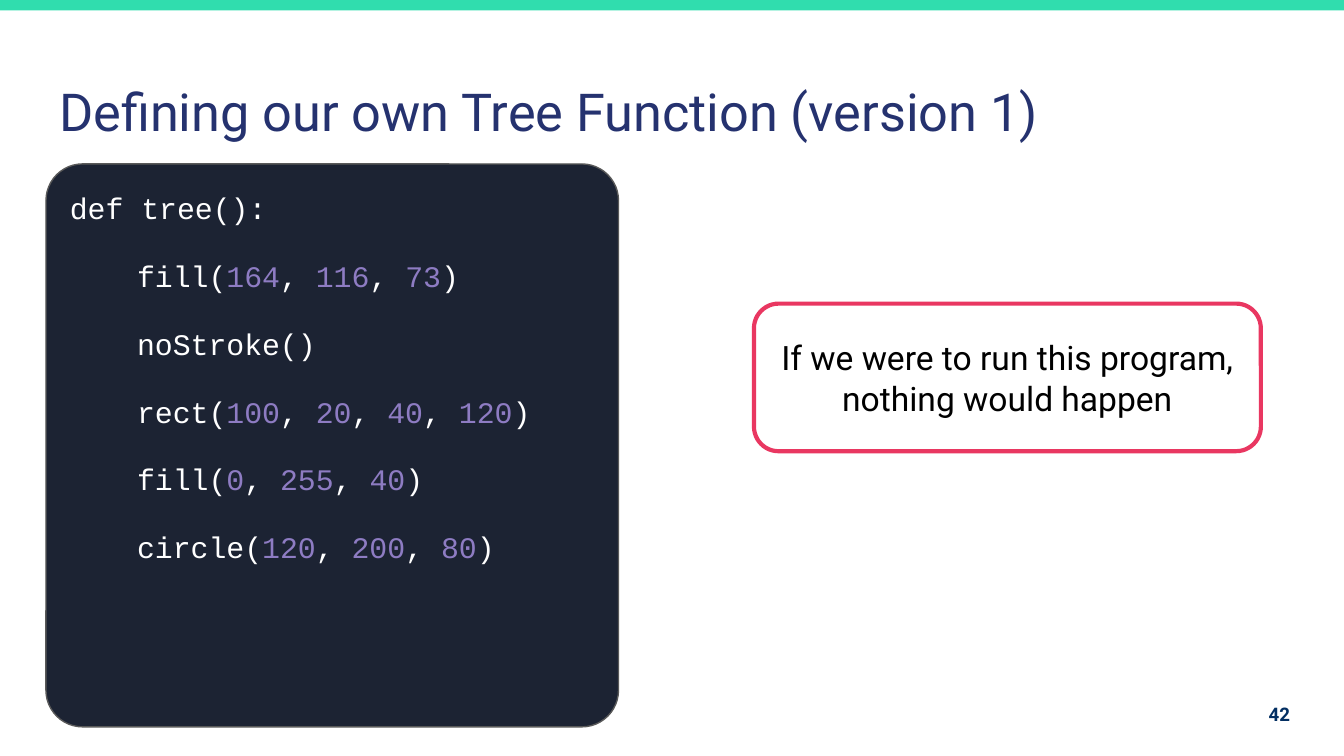
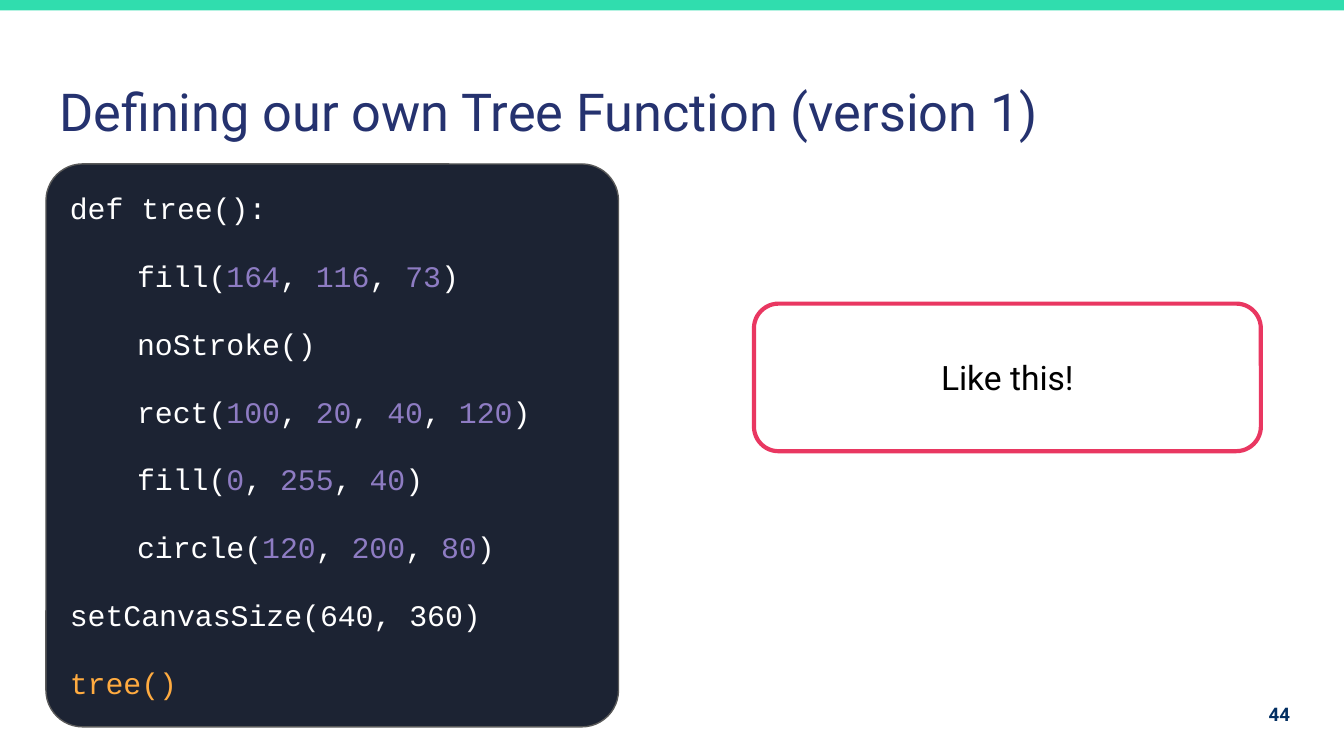
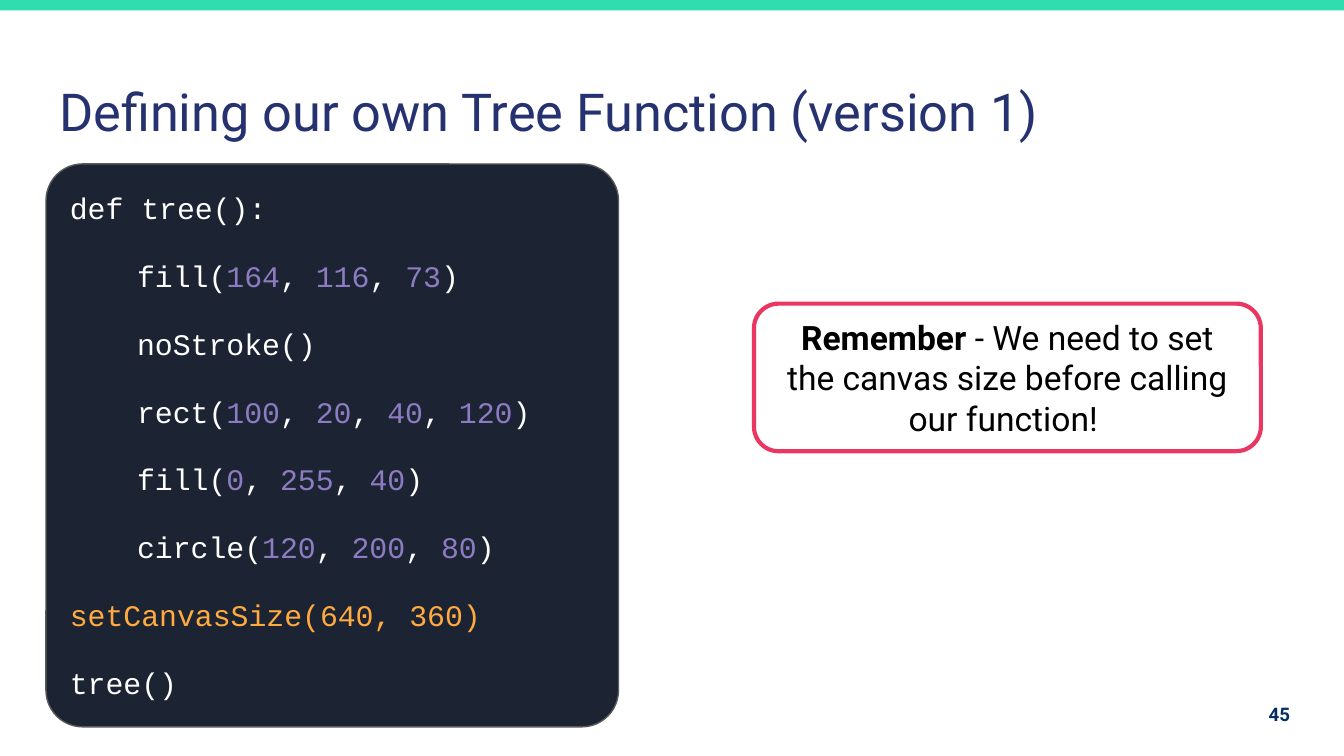
from itertools import groupby

from pptx import Presentation
from pptx.dml.color import RGBColor
from pptx.enum.shapes import MSO_SHAPE
from pptx.enum.text import MSO_ANCHOR, MSO_AUTO_SIZE, PP_ALIGN
from pptx.util import Cm, Pt

COLOURS = {
    "band": "30DDAE",
    "title": "25326F",
    "panel": "1C2333",
    "panel_edge": "595959",
    "code": "FFFFFF",
    "number": "8E7CC3",
    "highlight": "FFAB40",
    "note_edge": "E93761",
    "note": "000000",
    "page_number": "032F62",
}
TITLE_FONT = {"name": "Roboto", "size": Pt(28), "bold": False}
CODE_FONT = {"name": "Courier New", "size": Pt(16), "bold": False}
NOTE_FONT = {"name": "Roboto", "size": Pt(18), "bold": False}
PAGE_NUMBER_FONT = {"name": "Roboto", "size": Pt(10), "bold": True}
FRAME = {
    "word_wrap": True,
    "auto_size": MSO_AUTO_SIZE.NONE,
    "margin_left": Cm(0.25),
    "margin_right": Cm(0.25),
    "margin_top": Cm(0.25),
    "margin_bottom": Cm(0.25),
}

TITLE = "Defining our own Tree Function (version 1)"
FUNCTION_BODY = [
    "fill(164, 116, 73)",
    "noStroke()",
    "rect(100, 20, 40, 120)",
    "fill(0, 255, 40)",
    "circle(120, 200, 80)",
]
CANVAS_CALL = "setCanvasSize(640, 360)"
TREE_CALL = "tree()"

# Page number, lines after the function, highlighted line, note as (text, bold)
PAGES = [
    (42, [], None,
     [("If we were to run this program, nothing would happen", False)]),
    (44, [CANVAS_CALL, TREE_CALL], TREE_CALL, [("Like this!", False)]),
    (45, [CANVAS_CALL, TREE_CALL], CANVAS_CALL,
     [("Remember ", True),
      ("- We need to set the canvas size before calling our function! ", False)]),
]


def add_span(paragraph, text, font, colour):
    span = paragraph.add_run()
    span.text = text
    for name, value in font.items():
        setattr(span.font, name, value)
    span.font.color.rgb = RGBColor.from_string(COLOURS[colour])
    return span


def style_box(box, anchor, fill=None, edge=None, edge_width=0.75):
    """Set the frame, anchor, fill and outline; None leaves a part empty."""
    for name, value in FRAME.items():
        setattr(box.text_frame, name, value)
    box.text_frame.vertical_anchor = anchor
    box.shadow.inherit = False
    if fill:
        box.fill.solid()
        box.fill.fore_color.rgb = RGBColor.from_string(COLOURS[fill])
    else:
        box.fill.background()
    if edge:
        box.line.color.rgb = RGBColor.from_string(COLOURS[edge])
        box.line.width = Pt(edge_width)
    else:
        box.line.fill.background()


deck = Presentation()
deck.slide_width, deck.slide_height = Cm(25.4), Cm(14.29)
layout = deck.slide_layouts[5]

for number, closing_lines, highlighted, note_parts in PAGES:
    page = deck.slides.add_slide(layout)

    # The band is made once and moved to the shared layout
    if number == PAGES[0][0]:
        band = page.shapes.add_shape(
            MSO_SHAPE.RECTANGLE, Cm(-0.02), 0, Cm(25.44), Cm(0.2))
        style_box(band, MSO_ANCHOR.MIDDLE, fill="band")
        layout.shapes.element.append(band.element)

    title = page.shapes.title
    title.left, title.top, title.width, title.height = (
        Cm(0.87), Cm(1.24), Cm(23.67), Cm(1.6))
    style_box(title, MSO_ANCHOR.TOP)
    paragraph = title.text_frame.paragraphs[0]
    paragraph.alignment = PP_ALIGN.LEFT
    add_span(paragraph, TITLE, TITLE_FONT, "title")

    panel = page.shapes.add_shape(
        MSO_SHAPE.ROUNDED_RECTANGLE, Cm(0.87), Cm(3.1), Cm(10.82), Cm(10.64))
    panel.adjustments[0] = 0.065
    style_box(panel, MSO_ANCHOR.TOP, "panel", "panel_edge")
    code_lines = ["def tree():", *FUNCTION_BODY, *closing_lines]
    for index, line in enumerate(code_lines):
        frame = panel.text_frame
        paragraph = frame.add_paragraph() if index else frame.paragraphs[0]
        paragraph.alignment = PP_ALIGN.LEFT
        paragraph.line_spacing = 1.06
        paragraph.space_before = Pt(16 if index else 0)
        if line in FUNCTION_BODY:
            paragraph_properties = paragraph._p.get_or_add_pPr()
            paragraph_properties.set("marL", str(Cm(1.27)))
            paragraph_properties.set("indent", "0")
            for is_number, characters in groupby(line, str.isdigit):
                add_span(paragraph, "".join(characters), CODE_FONT,
                         "number" if is_number else "code")
        else:
            add_span(paragraph, line, CODE_FONT,
                     "highlight" if line == highlighted else "code")
    paragraph.space_after = Pt(16)

    page_number = page.shapes.add_textbox(
        Cm(23.11), Cm(12.95), Cm(1.52), Cm(1.09))
    style_box(page_number, MSO_ANCHOR.MIDDLE)
    paragraph = page_number.text_frame.paragraphs[0]
    paragraph.alignment = PP_ALIGN.RIGHT
    add_span(paragraph, str(number), PAGE_NUMBER_FONT, "page_number")

    note = page.shapes.add_shape(
        MSO_SHAPE.ROUNDED_RECTANGLE, Cm(14.25), Cm(5.74), Cm(9.58), Cm(2.79))
    style_box(note, MSO_ANCHOR.MIDDLE, edge="note_edge", edge_width=2.25)
    paragraph = note.text_frame.paragraphs[0]
    paragraph.alignment = PP_ALIGN.CENTER
    for text, bold in note_parts:
        add_span(paragraph, text, {**NOTE_FONT, "bold": bold}, "note")

deck.save("out.pptx")
